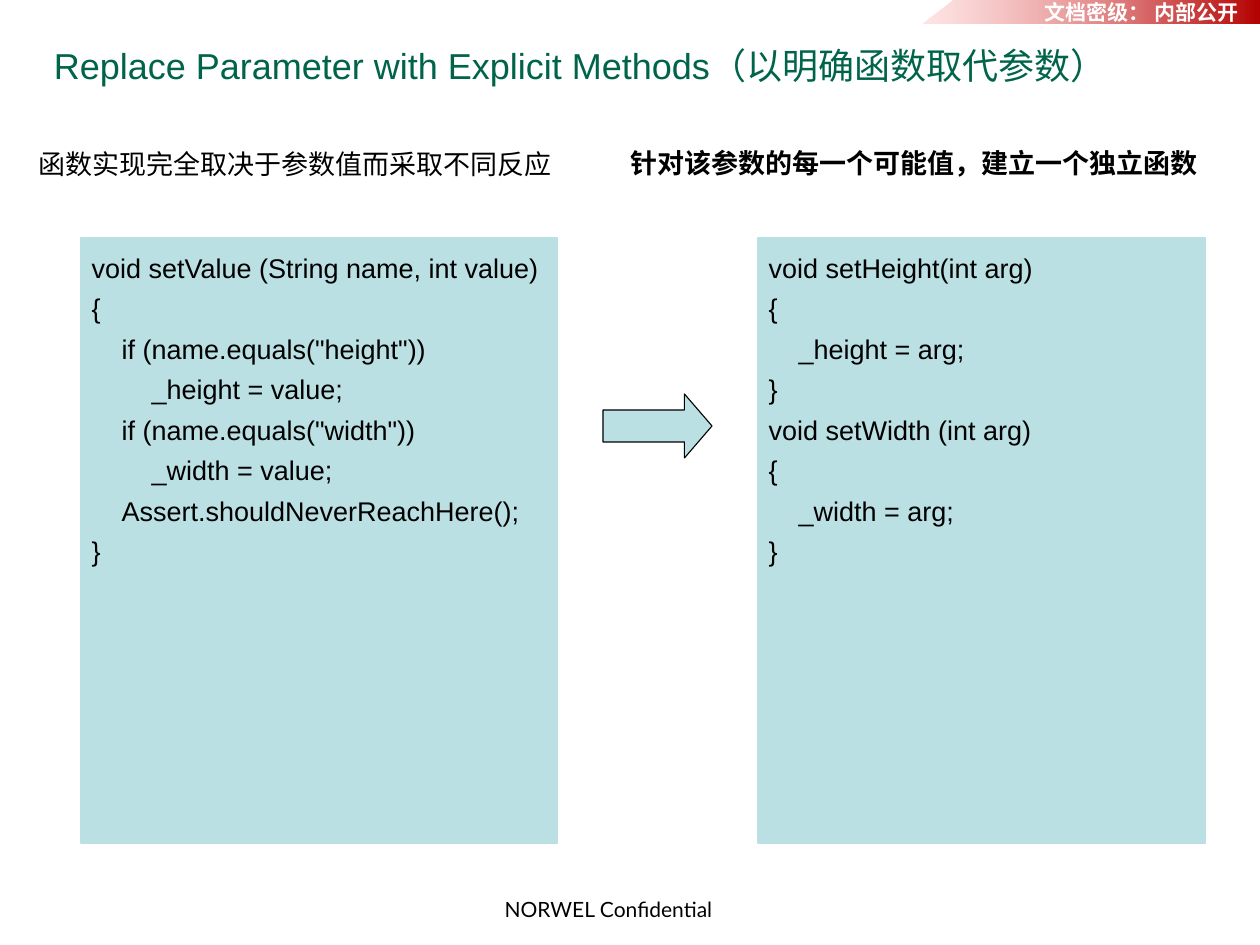
"""Build the slide on replacing a parameter with explicit methods."""
import pptx
import pptx.dml.color
import pptx.enum.shapes
import pptx.enum.text
import pptx.oxml
import pptx.util
from dataclasses import dataclass


@dataclass(frozen=True)
class Theme:
    green: str = "00644A"
    black: str = "000000"
    white: str = "FFFFFF"
    panel: str = "BBE0E3"
    banner_dark: str = "B40000"
    banner_light: str = "FFBFBF"
    font: str = "Arial"
    footer_font: str = "Lato"
    title_pt: int = 24
    body_pt: int = 18
    small_pt: int = 14


theme = Theme()
rgb = pptx.dml.color.RGBColor.from_string
shapes = pptx.enum.shapes.MSO_SHAPE
INDENT = 30


def px(n):
    return pptx.util.Emu(round(n * 914400 / 108))


def write(sp, lines, size, color, bold=False, spacing=1.0, font=theme.font):
    tf = sp.text_frame
    tf.word_wrap = True
    tf.vertical_anchor = pptx.enum.text.MSO_ANCHOR.TOP
    for i, (level, text) in enumerate(lines):
        p = tf.paragraphs[0] if i == 0 else tf.add_paragraph()
        p.text = text
        p.alignment = pptx.enum.text.PP_ALIGN.LEFT
        p.line_spacing = spacing
        p.font.name = font
        p.font.size = pptx.util.Pt(size)
        p.font.bold = bold
        p.font.color.rgb = rgb(color)
        if level:
            p._p.get_or_add_pPr().set("marL", str(px(level * INDENT)))


prs = pptx.Presentation()
prs.slide_width, prs.slide_height = px(1260), px(945)
s = prs.slides.add_slide(prs.slide_layouts[5])

title = s.shapes.title
title.left, title.top, title.width, title.height = px(43), px(38), px(1111), px(103)
write(title, [(0, "Replace Parameter with Explicit Methods（以明确函数取代参数）")],
      theme.title_pt, theme.green)

builder = s.shapes.build_freeform(px(1260), px(0))
builder.add_line_segments([(px(953), px(0)), (px(921), px(23)), (px(1260), px(23))])
banner = builder.convert_to_shape()
banner.shadow.inherit = False
banner.line.fill.background()
banner.fill.gradient()
banner.fill.gradient_angle = 180
for stop, color in zip(banner.fill.gradient_stops, (theme.banner_dark, theme.banner_light)):
    stop.color.rgb = rgb(color)
    stop.position = 0 if color == theme.banner_dark else 1
light = banner._element.xpath(".//a:gs[2]/a:srgbClr")[0]
light.append(pptx.oxml.parse_xml(
    '<a:alpha xmlns:a="http://schemas.openxmlformats.org/drawingml/2006/main" val="40000"/>'))

labels = [
    (1034, -6, 226, 37, "文档密级： 内部公开", theme.small_pt, theme.white, True, 1.0, theme.font),
    (494, 891, 245, 36, "NORWEL Confidential", theme.small_pt, theme.black, False, 1.0,
     theme.footer_font),
    (28, 134, 616, 50, "函数实现完全取决于参数值而采取不同反应", theme.body_pt, theme.black, False,
     1.25, theme.font),
    (620, 133, 640, 50, "针对该参数的每一个可能值，建立一个独立函数", theme.body_pt, theme.black, True,
     1.25, theme.font),
]
for x, y, w, h, text, size, color, bold, spacing, font in labels:
    sp = s.shapes.add_textbox(px(x), px(y), px(w), px(h))
    write(sp, [(0, text)], size, color, bold, spacing, font)

before = [
    (0, "void setValue (String name, int value)"),
    (0, "{"),
    (1, 'if (name.equals("height"))'),
    (2, "_height = value;"),
    (1, 'if (name.equals("width"))'),
    (2, "_width = value;"),
    (1, "Assert.shouldNeverReachHere();"),
    (0, "}"),
]
after = [
    (0, "void setHeight(int arg)"),
    (0, "{"),
    (1, "_height = arg;"),
    (0, "}"),
    (0, "void setWidth (int arg)"),
    (0, "{"),
    (1, "_width = arg;"),
    (0, "}"),
]
blocks = [
    (shapes.RECTANGLE, 81, 238, 477, 605, theme.panel, before),
    (shapes.RECTANGLE, 758, 238, 448, 605, theme.panel, after),
    (shapes.RIGHT_ARROW, 603, 394, 109, 64, theme.black, []),
]
for kind, x, y, w, h, outline, code in blocks:
    sp = s.shapes.add_shape(kind, px(x), px(y), px(w), px(h))
    sp.shadow.inherit = False
    sp.fill.solid()
    sp.fill.fore_color.rgb = rgb(theme.panel)
    sp.line.color.rgb = rgb(outline)
    sp.line.width = pptx.util.Pt(0.75)
    if kind == shapes.RIGHT_ARROW:
        sp.adjustments[1] = 0.43
    write(sp, code, theme.body_pt, theme.black, spacing=1.25)

prs.save("out.pptx")
